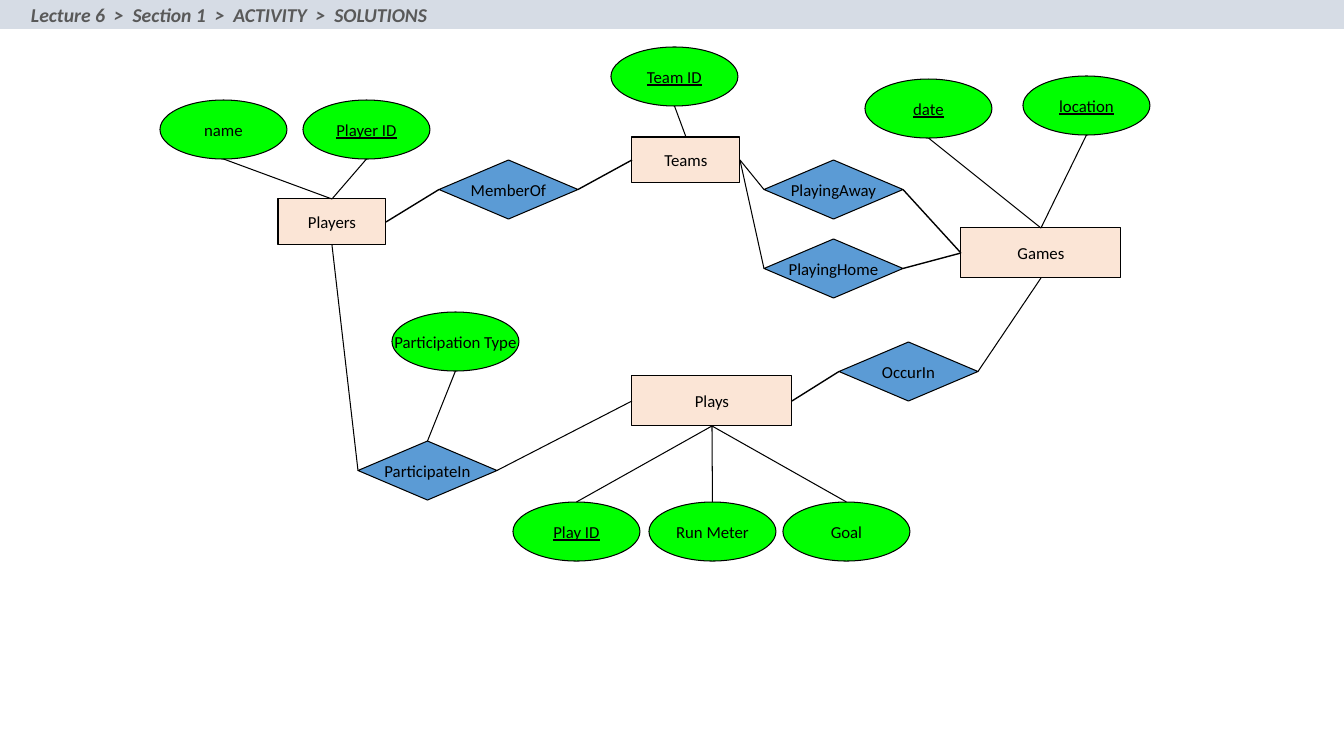
"""Build the entity-relationship diagram slide for the sports league activity."""
from lxml.etree import SubElement
from pptx import Presentation
from pptx.dml.color import RGBColor
from pptx.enum.shapes import MSO_CONNECTOR as LINK, MSO_SHAPE as SHAPE
from pptx.enum.text import MSO_ANCHOR as ANCHOR, MSO_AUTO_SIZE as FIT, PP_ALIGN as ALIGN
from pptx.oxml.ns import qn
from pptx.util import Pt

COLORS = {"band": "D6DCE5", "heading": "595959", "ink": "000000",
          "entity": "FBE5D6", "relation": "5B9BD5", "attribute": "00FF00"}
SCALE = 914400 / 100.8


def px(*lengths):
    return [round(length * SCALE) for length in lengths]


def write(shape, text, align, color, **font_format):
    frame = shape.text_frame
    frame_format = {"auto_size": FIT.NONE, "vertical_anchor": ANCHOR.MIDDLE,
                    "margin_left": 0, "margin_right": 0, "margin_top": 0, "margin_bottom": 0}
    for key, value in frame_format.items():
        setattr(frame, key, value)
    paragraph = frame.paragraphs[0]
    paragraph.alignment = align
    run = paragraph.add_run()
    run.text = text
    for key, value in {"name": "Calibri", **font_format}.items():
        setattr(run.font, key, value)
    run.font.color.rgb = RGBColor.from_string(COLORS[color])


deck = Presentation()
deck.slide_width, deck.slide_height = px(1344, 756)
slide = deck.slides.add_slide(deck.slide_layouts[5])

heading = slide.shapes.title
heading.left, heading.top, heading.width, heading.height = px(0, 0, 1344, 29)
heading.fill.solid()
heading.fill.fore_color.rgb = RGBColor.from_string(COLORS["band"])
write(heading, "Lecture 6  >  Section 1  >  ACTIVITY  >  SOLUTIONS", ALIGN.LEFT,
      "heading", size=Pt(14), bold=True, italic=True)
heading.text_frame.margin_left = px(31)[0]

outlines = {"entity": SHAPE.RECTANGLE, "relation": SHAPE.DIAMOND, "attribute": SHAPE.OVAL}
small_entity, large_entity = (108, 46), (160, 50)
relation_size, attribute_size = (139, 59), (127, 59)
keys = {"Player ID", "Team ID", "date", "location", "Play ID"}
parts = [
    ("entity", small_entity, {"Players": (278, 199), "Teams": (632, 137)}),
    ("entity", large_entity, {"Games": (961, 228), "Plays": (632, 376)}),
    ("relation", relation_size, {
        "MemberOf": (439, 160), "PlayingAway": (764, 160), "PlayingHome": (764, 239),
        "OccurIn": (839, 342), "ParticipateIn": (358, 441)}),
    ("attribute", attribute_size, {
        "name": (160, 100), "Player ID": (303, 100), "Team ID": (611, 47),
        "date": (865, 79), "location": (1023, 76), "Participation Type": (392, 312),
        "Play ID": (513, 502), "Run Meter": (649, 502), "Goal": (783, 502)}),
]
nodes = {}
for kind, size, places in parts:
    for label, place in places.items():
        node = slide.shapes.add_shape(outlines[kind], *px(*place, *size))
        node.shadow.inherit = False
        node.fill.solid()
        node.fill.fore_color.rgb = RGBColor.from_string(COLORS[kind])
        node.line.color.rgb = RGBColor.from_string(COLORS["ink"])
        node.line.width = Pt(0.75)
        write(node, label, ALIGN.CENTER, "ink", size=Pt(12), underline=label in keys)
        node.text_frame.word_wrap = False
        nodes[label] = node

TOP, LEFT, BOTTOM, RIGHT = range(4)
OVAL_BOTTOM = "4"
thin, thick = 0.75, 1
links = [
    ("Players", BOTTOM, "ParticipateIn", LEFT, thin),
    ("ParticipateIn", RIGHT, "Plays", LEFT, thin),
    ("Games", BOTTOM, "OccurIn", RIGHT, thin),
    ("OccurIn", LEFT, "Plays", RIGHT, thick),
    ("Players", RIGHT, "MemberOf", LEFT, thick),
    ("MemberOf", RIGHT, "Teams", LEFT, thick),
    ("Teams", RIGHT, "PlayingAway", LEFT, thin),
    ("Teams", RIGHT, "PlayingHome", LEFT, thin),
    ("PlayingAway", RIGHT, "Games", LEFT, thick),
    ("PlayingHome", RIGHT, "Games", LEFT, thick),
]
owners = {"name": "Players", "Player ID": "Players", "Team ID": "Teams", "date": "Games",
          "location": "Games", "Participation Type": "ParticipateIn"}
links += [(attribute, BOTTOM, owner, TOP, thin) for attribute, owner in owners.items()]
links += [("Plays", BOTTOM, attribute, TOP, thin)
          for attribute in ("Play ID", "Run Meter", "Goal")]

for start, start_side, end, end_side, weight in links:
    link = slide.shapes.add_connector(LINK.STRAIGHT, 0, 0, 0, 0)
    link.begin_connect(nodes[start], start_side)
    link.end_connect(nodes[end], end_side)
    if start in owners:
        next(link.element.iter(qn("a:stCxn"))).set("idx", OVAL_BOTTOM)
    link.line.color.rgb = RGBColor.from_string(COLORS["ink"])
    link.line.width = Pt(weight)
    SubElement(link.element.spPr, qn("a:effectLst"))

deck.save("out.pptx")
